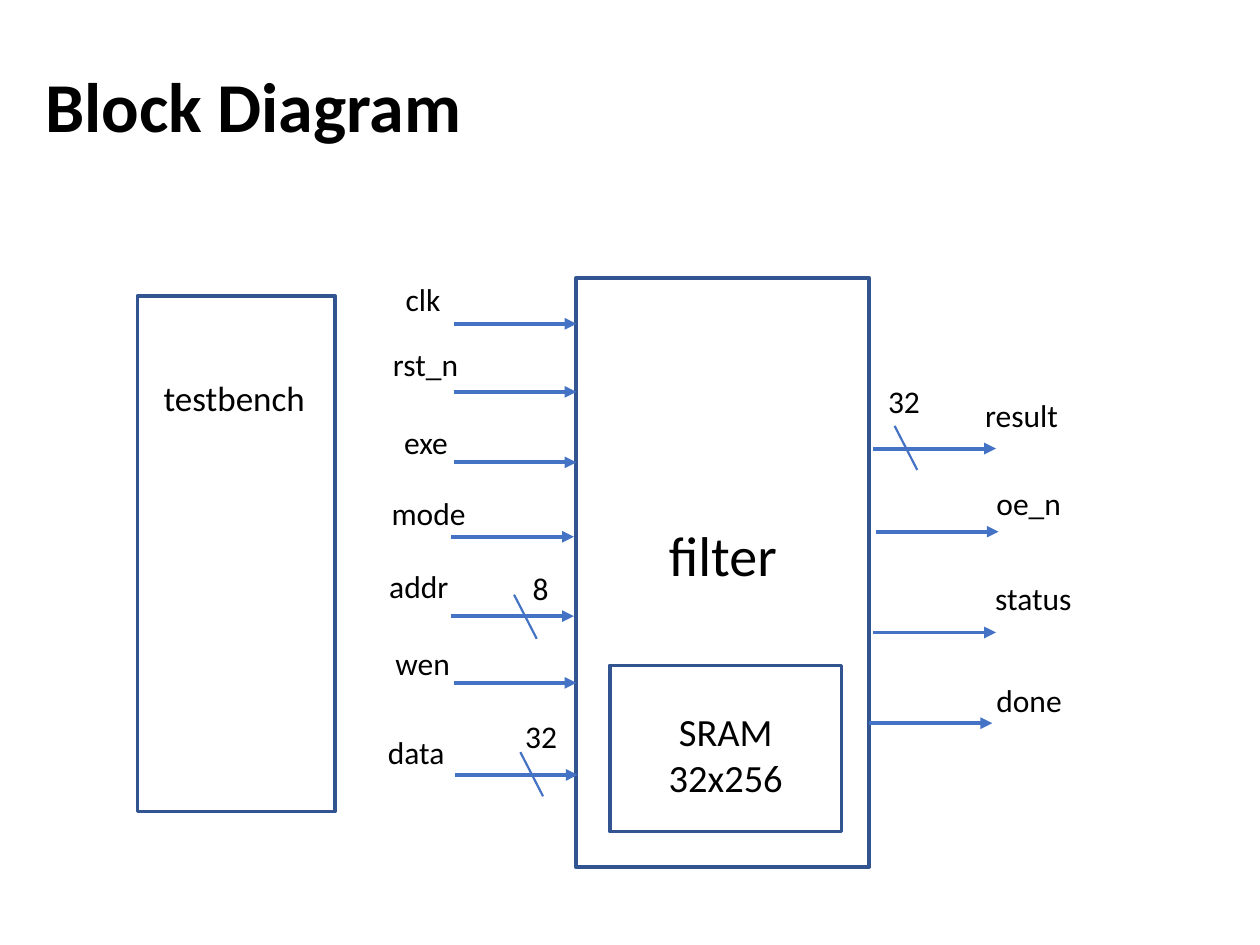
from dataclasses import dataclass

from lxml import etree
from pptx import Presentation
from pptx.dml.color import RGBColor
from pptx.enum.shapes import MSO_CONNECTOR, MSO_SHAPE
from pptx.enum.text import MSO_ANCHOR, PP_ALIGN
from pptx.oxml.ns import qn
from pptx.util import Inches, Pt

STRAIGHT = MSO_CONNECTOR.STRAIGHT
RECTANGLE = MSO_SHAPE.RECTANGLE
LEFT, CENTER = PP_ALIGN.LEFT, PP_ALIGN.CENTER
TOP, MIDDLE = MSO_ANCHOR.TOP, MSO_ANCHOR.MIDDLE

SLIDE_WIDTH, SLIDE_HEIGHT = Inches(10), Inches(7.5)
COLUMNS, ROWS = 100, 75
WIRE_SPAN = 9.75
SLASH_SPAN = (1.8, 3.5)
LABEL_HEIGHT = 4


@dataclass(frozen=True)
class Theme:
    """Colours, font, type sizes and line weights of the diagram."""
    ink: RGBColor = RGBColor(0x00, 0x00, 0x00)
    outline: RGBColor = RGBColor(0x32, 0x54, 0x91)
    wire: RGBColor = RGBColor(0x44, 0x72, 0xC4)
    font: str = "Calibri"
    title: int = 40
    module: int = 32
    memory: int = 22
    bench: int = 20
    signal: int = 18
    module_line: float = 2.25
    inner_line: float = 2
    wire_line: float = 2.25
    slash_line: float = 1.25


THEME = Theme()

# Signal name, label left, label top, label width, wire start column, wire row
SIGNALS = [
    ("clk", 31.2, 21.7, 4.8, 36, 25.7),
    ("rst_n", 30.2, 26.9, 7.2, 36, 31.1),
    ("exe", 31.1, 33.1, 5.5, 36, 36.7),
    ("mode", 30.1, 38.7, 8, 35.8, 42.6),
    ("addr", 29.9, 44.5, 6.8, 35.8, 48.9),
    ("wen", 30.4, 50.6, 6.4, 36, 54.2),
    ("data", 29.8, 57.7, 6.6, 36.1, 61.5),
    ("result", 77.2, 30.9, 7.9, 69.3, 35.6),
    ("oe_n", 78.1, 37.9, 7.2, 69.5, 42.2),
    ("status", 78, 45.5, 8.1, 69.3, 50.2),
    ("done", 78.1, 53.6, 7.3, 69, 57.4),
]

# Bit count, label left, label top, label width, slash column, slash row
BUS_WIDTHS = [
    ("8", 41.3, 44.7, 3.3, 40.8, 47.2),
    ("32", 40.7, 56.4, 4.6, 41.3, 59.7),
    ("32", 69.5, 29.8, 4.6, 71, 33.8),
]


def across(columns):
    """Turn grid columns into a length."""
    return round(SLIDE_WIDTH * columns / COLUMNS)


def down(rows):
    """Turn grid rows into a length."""
    return round(SLIDE_HEIGHT * rows / ROWS)


def area(left, top, width, height):
    """Turn a grid area into left, top, width and height."""
    return across(left), down(top), across(width), down(height)


def add_block(slide, place, weight):
    """Add the hollow outline of a hardware block."""
    block = slide.shapes.add_shape(RECTANGLE, *area(*place))
    block.shadow.inherit = False
    block.fill.background()
    block.line.color.rgb = THEME.outline
    block.line.width = Pt(weight)


def add_label(slide, lines, place, size, align=LEFT, anchor=TOP, bold=False, wrap=False, spacing=1.0):
    """Add one paragraph of text for each line."""
    label = slide.shapes.add_textbox(*area(*place))
    frame = label.text_frame
    frame.word_wrap = wrap
    frame.vertical_anchor = anchor
    for index, line in enumerate(lines):
        paragraph = frame.add_paragraph() if index else frame.paragraphs[0]
        paragraph.alignment = align
        paragraph.line_spacing = spacing
        run = paragraph.add_run()
        run.text = line
        run.font.name = THEME.font
        run.font.size = Pt(size)
        run.font.bold = bold
        run.font.color.rgb = THEME.ink


def add_line(slide, start, span, weight, arrow=False):
    """Add a straight line from a grid point, with an arrowhead on request."""
    line = slide.shapes.add_connector(
        STRAIGHT, across(start[0]), down(start[1]),
        across(start[0] + span[0]), down(start[1] + span[1]))
    line.line.color.rgb = THEME.wire
    line.line.width = Pt(weight)
    if arrow:
        etree.SubElement(line.line._get_or_add_ln(), qn("a:tailEnd"), type="triangle")
    etree.SubElement(line._element.spPr, qn("a:effectLst"))


def add_signal(slide, name, left, top, width, column, row):
    """Add a named signal with its wire."""
    add_line(slide, (column, row), (WIRE_SPAN, 0), THEME.wire_line, arrow=True)
    add_label(slide, [name], (left, top, width, LABEL_HEIGHT), THEME.signal)


def add_bus_width(slide, bits, left, top, width, column, row):
    """Add a bus slash with its bit count."""
    add_line(slide, (column, row), SLASH_SPAN, THEME.slash_line)
    add_label(slide, [bits], (left, top, width, LABEL_HEIGHT), THEME.signal)


def main():
    """Build the block diagram slide."""
    deck = Presentation()
    deck.slide_width, deck.slide_height = SLIDE_WIDTH, SLIDE_HEIGHT
    slide = deck.slides.add_slide(deck.slide_layouts[6])

    add_label(slide, ["Block Diagram"], (2.6, 1.5, 86.2, 14.5), THEME.title,
              anchor=MIDDLE, bold=True, wrap=True, spacing=0.9)
    add_block(slide, (10.9, 23.5, 15.7, 40.9), THEME.inner_line)
    add_label(slide, ["testbench"], (12, 29.4, 13.4, 4.4), THEME.bench)
    add_block(slide, (45.7, 22.1, 23.3, 46.7), THEME.module_line)
    add_label(slide, ["filter"], (52.1, 40.8, 10.7, 6.4), THEME.module)
    add_block(slide, (48.4, 52.8, 18.4, 13.2), THEME.inner_line)
    add_label(slide, ["SRAM", "32x256"], (52, 55.7, 11.2, 8.4), THEME.memory, align=CENTER)

    for signal in SIGNALS:
        add_signal(slide, *signal)
    for bus_width in BUS_WIDTHS:
        add_bus_width(slide, *bus_width)
    deck.save("out.pptx")


if __name__ == "__main__":
    main()
